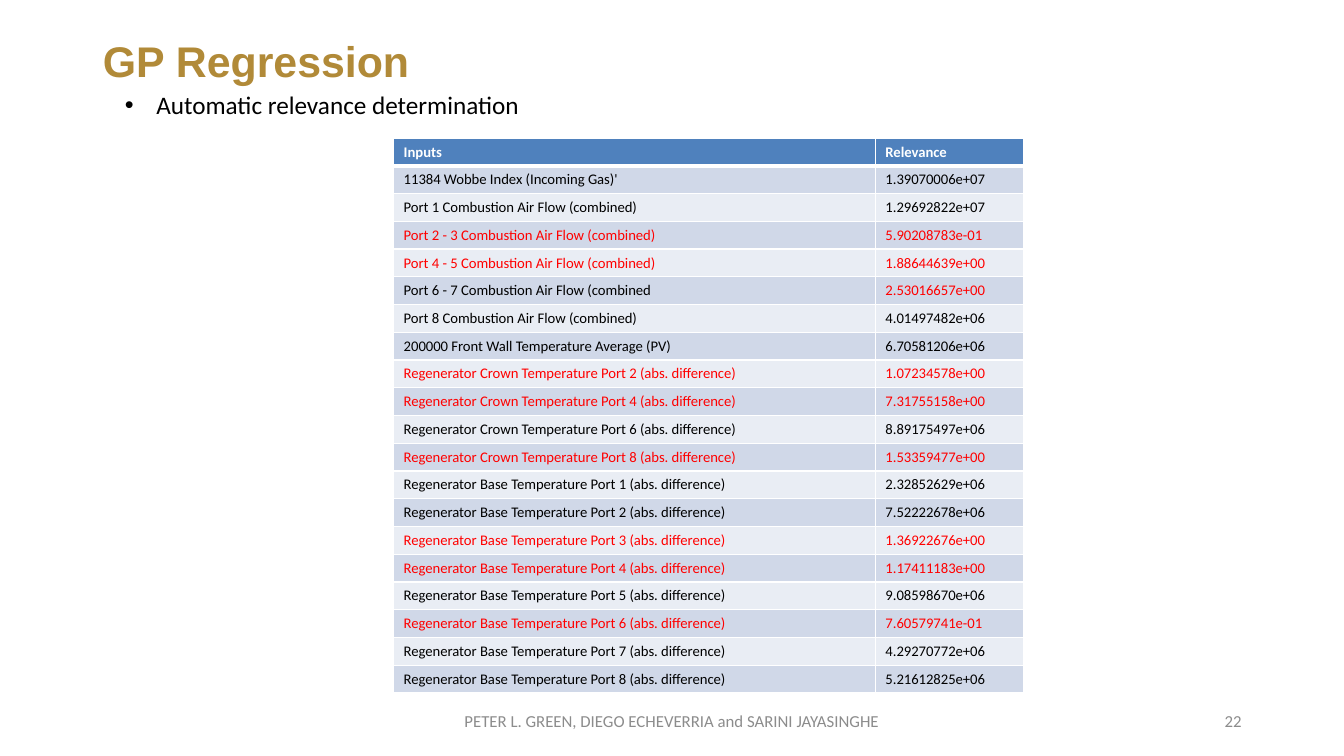
"""Build the GP Regression slide with its table of input relevances."""
import pptx
import pptx.dml.color
import pptx.enum.text
import pptx.oxml
import pptx.oxml.ns
import pptx.util
from pptx.util import Cm

RGBColor = pptx.dml.color.RGBColor
ALIGN = pptx.enum.text.PP_ALIGN
ANCHOR = pptx.enum.text.MSO_ANCHOR

GOLD = RGBColor(0xB1, 0x8A, 0x38)
GREY = RGBColor(0x8C, 0x8C, 0x8C)
BLACK = RGBColor(0x00, 0x00, 0x00)
WHITE = RGBColor(0xFF, 0xFF, 0xFF)
RED = RGBColor(0xFF, 0x00, 0x00)
HEADER_BLUE = RGBColor(0x4F, 0x81, 0xBD)
BANDS = (RGBColor(0xD0, 0xD8, 0xE8), RGBColor(0xE9, 0xED, 0xF4))

HEADER = ("Inputs", "Relevance")
CROWN = "Regenerator Crown Temperature Port {} (abs. difference)"
BASE = "Regenerator Base Temperature Port {} (abs. difference)"
UNMARKED_INPUT = "Port 6 - 7 Combustion Air Flow (combined"
RELEVANCES = [
    ("11384 Wobbe Index (Incoming Gas)'", "1.39070006e+07"),
    ("Port 1 Combustion Air Flow (combined)", "1.29692822e+07"),
    ("Port 2 - 3 Combustion Air Flow (combined)", "5.90208783e-01"),
    ("Port 4 - 5 Combustion Air Flow (combined)", "1.88644639e+00"),
    (UNMARKED_INPUT, "2.53016657e+00"),
    ("Port 8 Combustion Air Flow (combined)", "4.01497482e+06"),
    ("200000 Front Wall Temperature Average (PV)", "6.70581206e+06"),
    (CROWN.format(2), "1.07234578e+00"),
    (CROWN.format(4), "7.31755158e+00"),
    (CROWN.format(6), "8.89175497e+06"),
    (CROWN.format(8), "1.53359477e+00"),
    (BASE.format(1), "2.32852629e+06"),
    (BASE.format(2), "7.52222678e+06"),
    (BASE.format(3), "1.36922676e+00"),
    (BASE.format(4), "1.17411183e+00"),
    (BASE.format(5), "9.08598670e+06"),
    (BASE.format(6), "7.60579741e-01"),
    (BASE.format(7), "4.29270772e+06"),
    (BASE.format(8), "5.21612825e+06"),
]
RELEVANCE_LIMIT = 10


def write(frame, text, size, color, font="Calibri", bold=False,
          align=ALIGN.LEFT, anchor=ANCHOR.TOP, bullet=False):
    frame.word_wrap = True
    frame.vertical_anchor = anchor
    paragraph = frame.paragraphs[0]
    paragraph.text = text
    paragraph.alignment = align
    if bullet:
        add_bullet(paragraph)
    paragraph.font.name = font
    paragraph.font.size = pptx.util.Pt(size)
    paragraph.font.bold = bold
    paragraph.font.color.rgb = color
    for run in paragraph.runs:
        run.font.name = font
        run.font.size = pptx.util.Pt(size)
        run.font.bold = bold
        run.font.color.rgb = color
    return paragraph


def add_bullet(paragraph):
    properties = paragraph._p.get_or_add_pPr()
    properties.set("marL", str(Cm(0.79)))
    properties.set("indent", str(-Cm(0.79)))
    namespace = pptx.oxml.ns.nsdecls("a")
    properties.append(pptx.oxml.parse_xml(f'<a:buFont {namespace} typeface="Arial"/>'))
    properties.append(pptx.oxml.parse_xml(f'<a:buChar {namespace} char="•"/>'))


def add_text(slide, left, top, width, height, text, **style):
    box = slide.shapes.add_textbox(Cm(left), Cm(top), Cm(width), Cm(height))
    write(box.text_frame, text, **style)


def set_title(slide, text):
    title = slide.shapes.title
    title.left, title.top = Cm(2.34), Cm(1.02)
    title.width, title.height = Cm(29.2), Cm(1)
    title.text_frame.auto_size = pptx.enum.text.MSO_AUTO_SIZE.NONE
    title.text_frame.margin_top = title.text_frame.margin_bottom = 0
    heading = write(title.text_frame, text, size=30.6, color=GOLD, font="Arial", bold=True)
    heading.line_spacing = 0.9


def add_borders(cell, **widths):
    properties = cell._tc.get_or_add_tcPr()
    for side in "LRTB":
        width = pptx.util.Pt(widths.get(side, 1))
        properties.append(pptx.oxml.parse_xml(
            f'<a:ln{side} {pptx.oxml.ns.nsdecls("a")} w="{width}">'
            f'<a:solidFill><a:srgbClr val="{WHITE}"/></a:solidFill></a:ln{side}>'))


def fill_cell(cell, text, fill, color, bold=False, **borders):
    add_borders(cell, **borders)
    cell.fill.solid()
    cell.fill.fore_color.rgb = fill
    write(cell.text_frame, text, size=10.5, color=color, bold=bold)


def add_relevance_table(slide):
    row_count = len(RELEVANCES) + 1
    row_height = Cm(0.7)
    table = slide.shapes.add_table(row_count, len(HEADER), Cm(9.92), Cm(3.48),
                                   Cm(15.88), row_height * row_count).table
    for column, width in zip(table.columns, (12.14, 3.74)):
        column.width = Cm(width)
    for row in table.rows:
        row.height = row_height
    for column, heading in enumerate(HEADER):
        fill_cell(table.cell(0, column), heading, HEADER_BLUE, WHITE, bold=True, B=3)
    for row, (name, relevance) in enumerate(RELEVANCES, start=1):
        band = BANDS[(row - 1) % 2]
        value_color = RED if float(relevance) < RELEVANCE_LIMIT else BLACK
        name_color = BLACK if name == UNMARKED_INPUT else value_color
        top_border = 3 if row == 1 else 1
        fill_cell(table.cell(row, 0), name, band, name_color, T=top_border)
        fill_cell(table.cell(row, 1), relevance, band, value_color, T=top_border)


def main():
    deck = pptx.Presentation()
    deck.slide_width, deck.slide_height = Cm(33.87), Cm(19.05)
    slide = deck.slides.add_slide(deck.slide_layouts[5])
    set_title(slide, "GP Regression")
    add_text(slide, 2.9, 2.13, 24.94, 1.02, "Automatic relevance determination",
             size=18, color=BLACK, bullet=True)
    add_relevance_table(slide)
    footer = {"size": 12, "color": GREY, "anchor": ANCHOR.MIDDLE}
    add_text(slide, 11.22, 17.66, 11.43, 1.01,
             "PETER L. GREEN, DIEGO ECHEVERRIA and SARINI JAYASINGHE",
             align=ALIGN.CENTER, **footer)
    add_text(slide, 23.92, 17.66, 7.62, 1.01, "22", align=ALIGN.RIGHT, **footer)
    deck.save("out.pptx")


if __name__ == "__main__":
    main()
